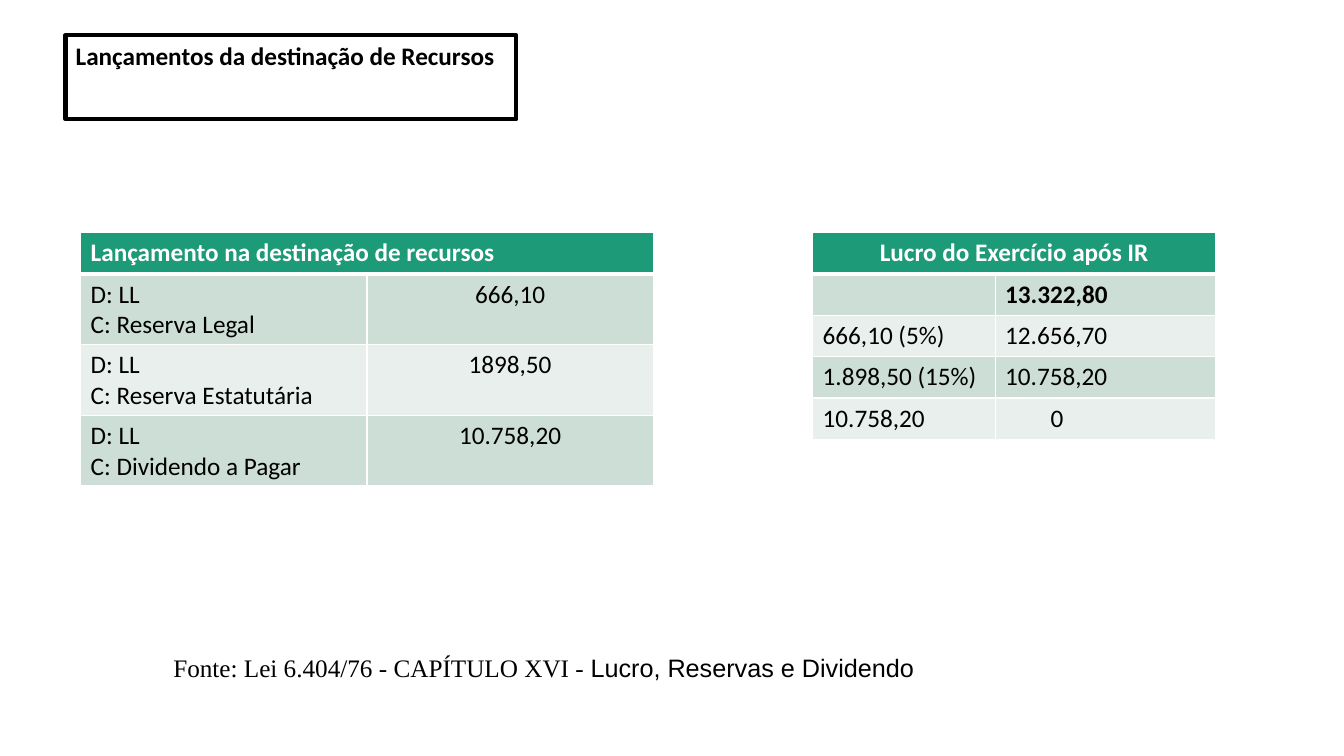
"""Build a slide with two tables on the allocation of profit."""
import dataclasses

import lxml.etree
import pptx
import pptx.dml.color
import pptx.enum.text
import pptx.oxml.ns
import pptx.util

Inches = pptx.util.Inches
Pt = pptx.util.Pt
Align = pptx.enum.text.PP_ALIGN


@dataclasses.dataclass(frozen=True)
class Theme:
    """Hold the colours, fonts and sizes of the slide."""
    header: str = "1D9A78"
    bands: tuple = ("CDDED6", "E8EFEC")
    white: str = "FFFFFF"
    black: str = "000000"
    font: str = "Calibri"
    serif: str = "Times New Roman"
    sans: str = "Arial"
    size: int = 18
    thin: int = 1
    thick: int = 3


THEME = Theme()
TITLE = "Lançamentos da destinação de Recursos"
TITLE_BOX = (0.65, 0.35, 4.47, 0.4)
SOURCE = [("Fonte: Lei 6.404/76 - CAPÍTULO XVI - ", THEME.serif),
          ("Lucro, Reservas e Dividendo", THEME.sans)]
SOURCE_BOX = (1.62, 6.42, 8.28, 0.4)
TABLE_TOP = 2.31
HEADER_HEIGHT = 0.41
ZERO_INDENT = 0.55
PROFIT = {
    "left": 8.06, "columns": (1.81, 2.19), "row_height": 0.41,
    "header": "Lucro do Exercício após IR", "header_align": Align.CENTER,
    "value_align": Align.LEFT,
    "rows": [("", "13.322,80"), ("666,10 (5%)", "12.656,70"),
             ("1.898,50 (15%)", "10.758,20"), ("10.758,20", "0")],
}
ENTRIES = {
    "left": 0.8, "columns": (2.84, 2.84), "row_height": 0.7,
    "header": "Lançamento na destinação de recursos", "header_align": Align.LEFT,
    "value_align": Align.CENTER,
    "rows": [("D: LL\nC: Reserva Legal", "666,10"),
             ("D: LL\nC: Reserva Estatutária", "1898,50"),
             ("D: LL\nC: Dividendo a Pagar", "10.758,20")],
}


def rgb(colour):
    """Turn a hex string into a colour."""
    return pptx.dml.color.RGBColor.from_string(colour)


def add_text(paragraph, text, font=THEME.font, colour=THEME.black, bold=False, align=Align.LEFT):
    """Add one formatted run to a paragraph."""
    paragraph.alignment = align
    run = paragraph.add_run()
    run.text = text
    run.font.name = font
    run.font.size = Pt(THEME.size)
    run.font.bold = bold
    run.font.color.rgb = rgb(colour)


def format_cell(cell, fill, top, bottom):
    """Give a cell its white borders and its fill."""
    properties = cell._tc.get_or_add_tcPr()
    qn = pptx.oxml.ns.qn
    for side, width in (("L", THEME.thin), ("R", THEME.thin), ("T", top), ("B", bottom)):
        line = lxml.etree.SubElement(properties, qn(f"a:ln{side}"), w=str(Pt(width)))
        solid = lxml.etree.SubElement(line, qn("a:solidFill"))
        lxml.etree.SubElement(solid, qn("a:srgbClr"), val=THEME.white)
    cell.fill.solid()
    cell.fill.fore_color.rgb = rgb(fill)


def add_table(slide, content):
    """Add a table with a merged header and banded rows."""
    rows, columns = content["rows"], content["columns"]
    height = HEADER_HEIGHT + len(rows) * content["row_height"]
    table = slide.shapes.add_table(
        len(rows) + 1, len(columns), Inches(content["left"]), Inches(TABLE_TOP),
        Inches(sum(columns)), Inches(height)).table
    for column, width in zip(table.columns, columns):
        column.width = Inches(width)
    for index, row in enumerate(table.rows):
        row.height = Inches(content["row_height"] if index else HEADER_HEIGHT)
        fill = THEME.bands[(index - 1) % 2] if index else THEME.header
        for cell in row.cells:
            format_cell(cell, fill, THEME.thick if index == 1 else THEME.thin,
                        THEME.thin if index else THEME.thick)
    table.cell(0, 0).merge(table.cell(0, len(columns) - 1))
    add_text(table.cell(0, 0).text_frame.paragraphs[0], content["header"],
             colour=THEME.white, bold=True, align=content["header_align"])
    for row_index, values in enumerate(rows, 1):
        for column_index, value in enumerate(values):
            cell = table.cell(row_index, column_index)
            if value == "0":
                cell.margin_left = Inches(ZERO_INDENT)
            align = content["value_align"] if column_index else Align.LEFT
            for line_index, line in enumerate(value.split("\n") if value else []):
                frame = cell.text_frame
                paragraph = frame.add_paragraph() if line_index else frame.paragraphs[0]
                add_text(paragraph, line, bold=not values[0], align=align)


def add_title(slide):
    """Place the framed title."""
    title = slide.shapes.title
    title.left, title.top, title.width, title.height = map(Inches, TITLE_BOX)
    title.fill.background()
    title.line.color.rgb = rgb(THEME.black)
    title.line.width = Pt(THEME.thick)
    frame = title.text_frame
    frame.word_wrap = True
    frame.auto_size = pptx.enum.text.MSO_AUTO_SIZE.SHAPE_TO_FIT_TEXT
    frame.vertical_anchor = pptx.enum.text.MSO_ANCHOR.TOP
    add_text(frame.paragraphs[0], TITLE, bold=True)


def add_source(slide):
    """Add the reference line at the foot."""
    frame = slide.shapes.add_textbox(*map(Inches, SOURCE_BOX)).text_frame
    frame.word_wrap = True
    frame.auto_size = pptx.enum.text.MSO_AUTO_SIZE.SHAPE_TO_FIT_TEXT
    for text, font in SOURCE:
        add_text(frame.paragraphs[0], text, font=font)


def main():
    """Build and save the presentation."""
    presentation = pptx.Presentation()
    presentation.slide_width = Inches(13.33)
    presentation.slide_height = Inches(7.5)
    slide = presentation.slides.add_slide(presentation.slide_layouts[5])
    for content in (PROFIT, ENTRIES):
        add_table(slide, content)
    add_source(slide)
    add_title(slide)
    presentation.save("out.pptx")


if __name__ == "__main__":
    main()
